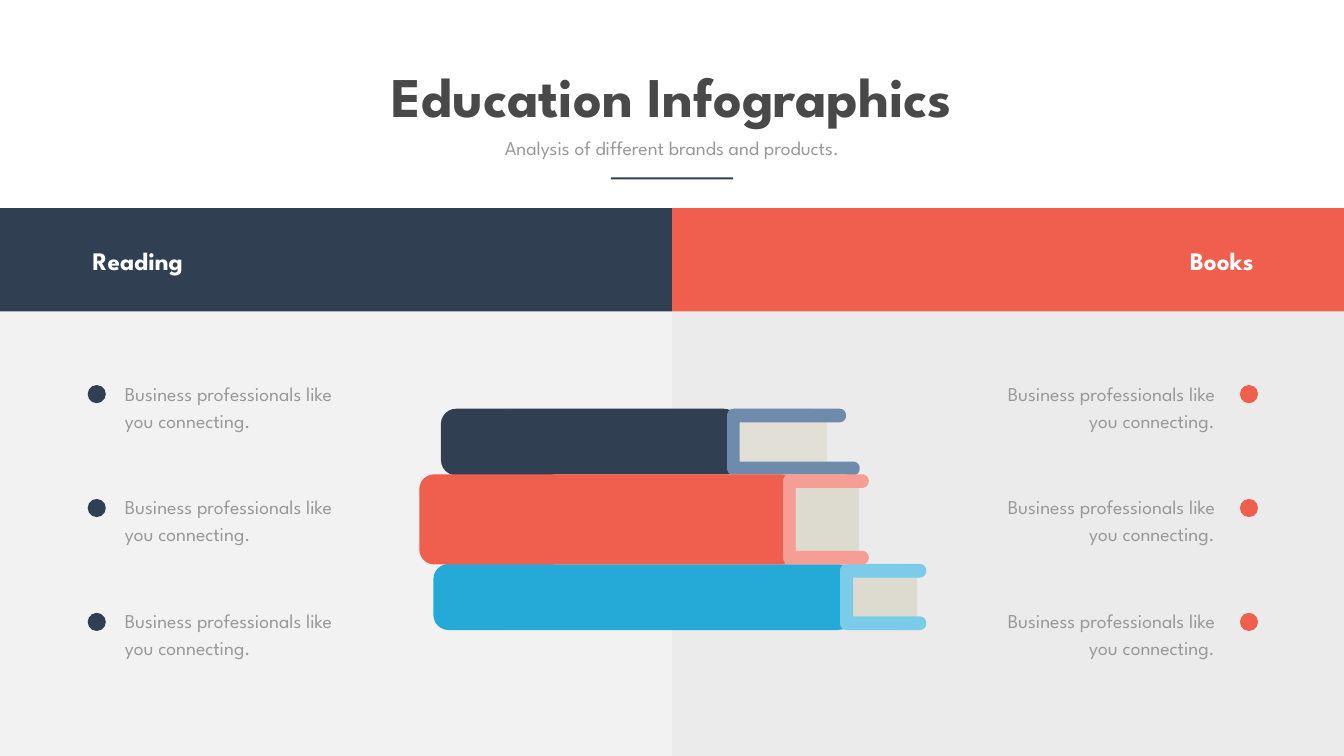
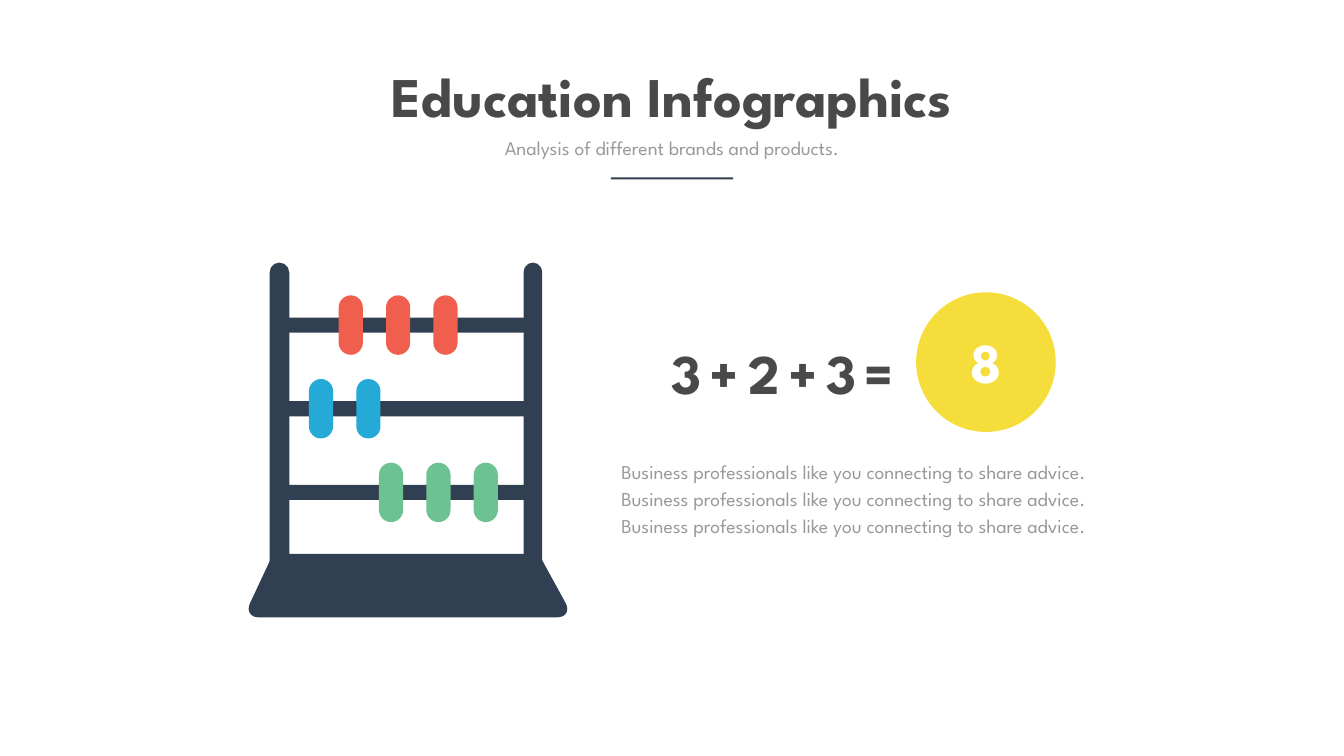
from math import hypot

from lxml import etree
from pptx import Presentation
from pptx.dml.color import RGBColor
from pptx.enum.shapes import MSO_SHAPE
from pptx.enum.text import MSO_ANCHOR, MSO_AUTO_SIZE, PP_ALIGN
from pptx.oxml.ns import qn
from pptx.util import Inches, Pt

RECT, ROUND, OVAL = MSO_SHAPE.RECTANGLE, MSO_SHAPE.ROUNDED_RECTANGLE, MSO_SHAPE.OVAL
LEFT, CENTER, RIGHT = PP_ALIGN.LEFT, PP_ALIGN.CENTER, PP_ALIGN.RIGHT
TOP, NO_FIT = MSO_ANCHOR.TOP, MSO_AUTO_SIZE.NONE

FONT = "League Spartan"
WHITE = RGBColor(0xFF, 0xFF, 0xFF)
INK = RGBColor(0x49, 0x49, 0x49)
GRAY = RGBColor(0x99, 0x99, 0x99)
PALE = RGBColor(0xF2, 0xF2, 0xF2)
SILVER = RGBColor(0xD9, 0xD9, 0xD9)
NAVY = RGBColor(0x30, 0x40, 0x52)
STEEL = RGBColor(0x6F, 0x8B, 0xAB)
RED = RGBColor(0xF0, 0x5E, 0x4E)
PINK = RGBColor(0xF6, 0x9E, 0x95)
BLUE = RGBColor(0x25, 0xAA, 0xD8)
SKY = RGBColor(0x7B, 0xCC, 0xE8)
GREEN = RGBColor(0x6D, 0xC2, 0x92)
YELLOW = RGBColor(0xF5, 0xDD, 0x3B)
CREAM = RGBColor(0xE2, 0xDF, 0xD6)
PAPER = RGBColor(0xDD, 0xDA, 0xCF)

SLIDE_W, SLIDE_H = 26.67, 15
HALF = SLIDE_W / 2
LINE_PITCH = 38.6
ADVICE = "Business professionals like you connecting."
LONG_ADVICE = " ".join(["Business professionals like you connecting to share advice."] * 3)


def paint(sp, color):
    """Give a shape a flat fill without line or shadow."""
    sp.shadow.inherit = False
    sp.fill.solid()
    sp.fill.fore_color.rgb = color
    sp.line.fill.background()
    return sp


def add_box(s, kind, x, y, w, h, color, radius=None):
    """Add a flat preset shape, with its corner radius in inches."""
    sp = s.shapes.add_shape(kind, Inches(x), Inches(y), Inches(w), Inches(h))
    if radius is not None:
        sp.adjustments[0] = radius / min(w, h)
    return paint(sp, color)


def round_corner(before, corner, after, steps=8):
    """Return points along the curve that rounds one corner."""
    x, y, radius = corner
    if not radius:
        return [(x, y)]
    ends = []
    for px, py, _ in (before, after):
        reach = radius / hypot(px - x, py - y)
        ends.append((x + (px - x) * reach, y + (py - y) * reach))
    (ax, ay), (bx, by) = ends
    points = []
    for i in range(steps + 1):
        t = i / steps
        u = 1 - t
        a = u ** 3 + 1.35 * u * u * t
        b = t ** 3 + 1.35 * u * t * t
        points.append((a * ax + b * bx + (1 - a - b) * x,
                       a * ay + b * by + (1 - a - b) * y))
    return points


def add_outline(s, x, y, corners, color):
    """Add a polygon of (x, y, radius) corners relative to a point."""
    points = []
    for i, corner in enumerate(corners):
        points += round_corner(corners[i - 1], corner, corners[(i + 1) % len(corners)])
    points = [(Inches(x + px), Inches(y + py)) for px, py in points]
    builder = s.shapes.build_freeform(*points[0])
    builder.add_line_segments(points[1:], close=True)
    return paint(builder.convert_to_shape(), color)


def set_text(sp, text, size, color, align=LEFT, bold=False, pitch=None, wrap=True):
    """Write one formatted paragraph into a shape."""
    tf = sp.text_frame
    tf.text = text
    tf.word_wrap = wrap
    tf.auto_size = NO_FIT
    tf.vertical_anchor = TOP
    p = tf.paragraphs[0]
    p.alignment = align
    p.space_before = Pt(0)
    if pitch:
        p.line_spacing = Pt(pitch)
    font = p.runs[0].font
    font.name, font.size, font.bold = FONT, Pt(size), bold
    font.color.rgb = color


def add_label(s, x, y, w, h, text, size, color, **style):
    """Add a text box with one formatted paragraph."""
    sp = s.shapes.add_textbox(Inches(x), Inches(y), Inches(w), Inches(h))
    set_text(sp, text, size, color, **style)
    return sp


def add_headed_slide(prs):
    """Add a slide with the shared title, subtitle and rule."""
    s = prs.slides.add_slide(prs.slide_layouts[0])
    title, subtitle = s.shapes.title, s.placeholders[1]
    for sp, y, w, h in ((title, 1.17, 12.73, 1.45), (subtitle, 2.65, 9.56, 0.57)):
        sp.left, sp.top = Inches((SLIDE_W - w) / 2), Inches(y)
        sp.width, sp.height = Inches(w), Inches(h)
    set_text(title, "Education Infographics", 80, INK, align=CENTER, bold=True, wrap=False)
    set_text(subtitle, "Analysis of different brands and products.", 28, GRAY, align=CENTER)
    add_box(s, RECT, 12.12, 3.52, 2.43, 0.04, NAVY)
    return s


def add_side(s, x, heading, color, panel, align):
    """Add one half of the comparison: panel, heading band and three points."""
    mirrored = align == RIGHT
    sp = add_box(s, RECT, x, 4.17, HALF, SLIDE_H - 4.17, panel)
    if mirrored:
        clr = sp.fill._xPr.find(qn("a:solidFill"))[0]
        etree.SubElement(clr, qn("a:alpha"), val="50000")
    add_box(s, RECT, x, 4.13, HALF, 2.05, color)
    heading_x, dot_x, text_x = (6.75, 11.27, 5.98) if mirrored else (1.74, 1.74, 2.38)
    add_label(s, x + heading_x, 4.81, 4.89, 0.71, heading, 36, WHITE, align=align, bold=True)
    for row in range(3):
        y = 7.45 + 2.26 * row
        add_box(s, OVAL, x + dot_x, y + 0.19, 0.36, 0.36, color)
        add_label(s, x + text_x, y, 4.89, 1.18, ADVICE, 28, GRAY, align=align, pitch=LINE_PITCH)


def add_book(s, x, y, cover_w, h, pages, edge, colors):
    """Add a lying book: pages, cover and the bracket of its open edge."""
    cover, bracket, paper = colors
    pages_x, pages_w = pages
    edge_x, upper, lower = edge
    arm, tip, spine = 0.27, 0.13, 0.25
    add_box(s, ROUND, x + pages_x, y, pages_w, h, paper, 0.3)
    add_box(s, ROUND, x, y, cover_w, h, cover, 0.3)
    add_outline(s, x + edge_x, y, [
        (0, 0, tip), (upper, 0, tip), (upper, arm, tip), (spine, arm, 0),
        (spine, h - arm, 0), (lower, h - arm, tip), (lower, h, tip), (0, h, tip)], bracket)


def add_book_stack(s, x, y):
    """Add the pile of three books."""
    add_book(s, x + 0.43, y, 5.91, 1.32, (1.1, 6.56), (5.68, 2.36, 2.63), (NAVY, STEEL, CREAM))
    add_book(s, x + 0.28, y + 3.08, 8.32, 1.31, (1.17, 8.43), (8.07, 1.71, 1.71),
             (BLUE, SKY, PAPER))
    add_book(s, x, y + 1.3, 7.46, 1.79, (2.42, 6.31), (7.22, 1.7, 1.7), (RED, PINK, PAPER))


def add_abacus(s, x, y):
    """Add an abacus with a base, three rods of beads and two posts."""
    add_outline(s, x, y, [(0.48, 5.78, 0), (5.75, 5.78, 0),
                          (6.44, 7.04, 0.33), (-0.11, 7.04, 0.31)], NAVY)
    for row, (start, count, color) in enumerate(((1.78, 3, RED), (1.19, 2, BLUE), (2.58, 3, GREEN))):
        rod_y = y + 1.09 + 1.66 * row
        add_box(s, ROUND, x + 0.5, rod_y, 5.31, 0.3, NAVY, 0.15)
        for i in range(count):
            add_box(s, ROUND, x + start + 0.94 * i, rod_y - 0.44, 0.48, 1.18, color, 0.24)
    for post_x, w in ((0.41, 0.39), (5.45, 0.37)):
        add_box(s, ROUND, x + post_x, y, w, 6.58, NAVY, w / 2)


def add_sum(s, x, y):
    """Add the sum, its result in a disc and the text below."""
    sp = add_label(s, x + 0.75, y + 0.86, 5.11, 1.45, "3+2+3=", 80, INK,
                   align=CENTER, bold=True, wrap=False)
    sp.text_frame.paragraphs[0].runs[0].font._element.set("spc", "1200")
    add_box(s, OVAL, x + 5.95, y, 2.77, 2.77, YELLOW)
    add_label(s, x + 6.92, y + 0.65, 0.83, 1.45, "8", 80, WHITE,
              align=CENTER, bold=True, wrap=False)
    add_label(s, x, y + 3.2, 9.68, 2.24, LONG_ADVICE, 28, GRAY, pitch=LINE_PITCH)


def main():
    """Build both slides and save them."""
    prs = Presentation()
    prs.slide_width, prs.slide_height = Inches(SLIDE_W), Inches(SLIDE_H)

    s = add_headed_slide(prs)
    add_side(s, 0, "Reading", NAVY, PALE, LEFT)
    add_side(s, HALF, "Books", RED, SILVER, RIGHT)
    add_book_stack(s, 8.32, 8.11)

    s = add_headed_slide(prs)
    add_abacus(s, 4.94, 5.21)
    add_sum(s, 12.23, 5.8)

    prs.save("out.pptx")


if __name__ == "__main__":
    main()
